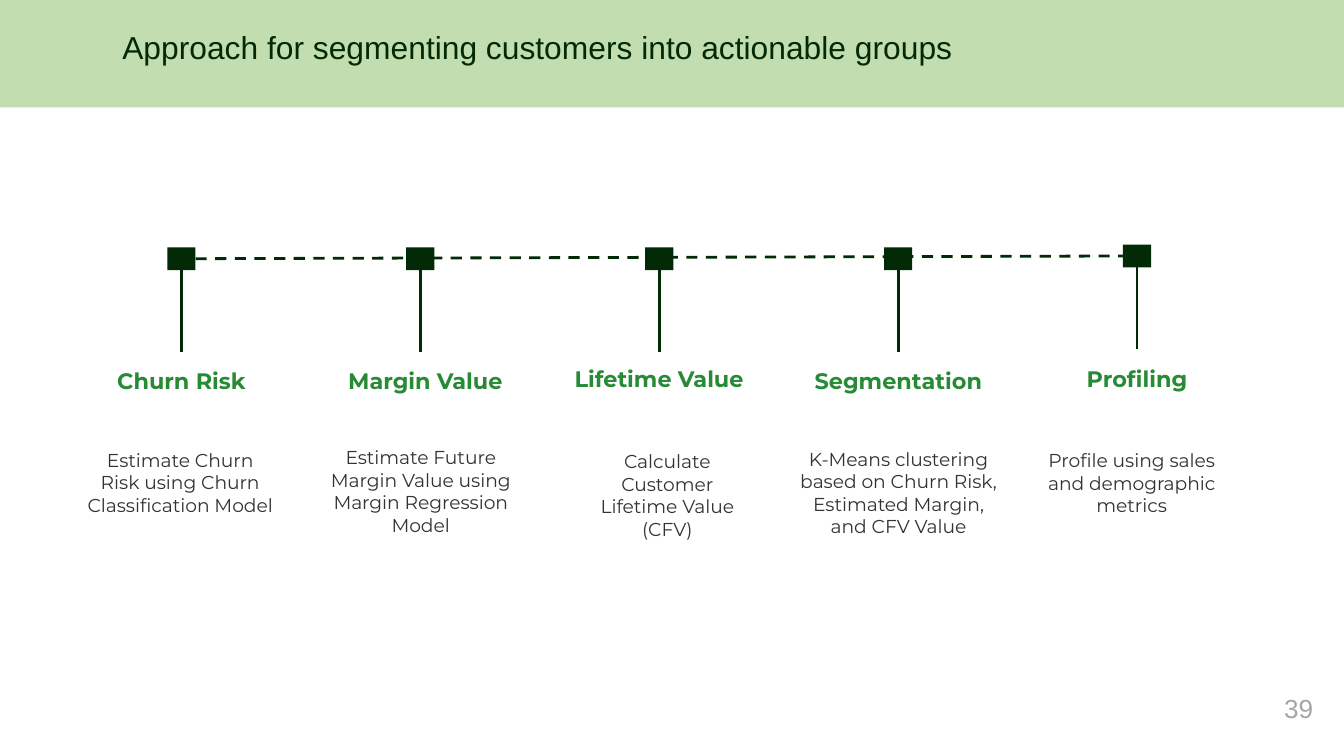
from typing import NamedTuple

from lxml import etree
from pptx import Presentation
from pptx import util as u
from pptx.dml.color import RGBColor
from pptx.enum import dml, shapes, text
from pptx.oxml.ns import qn

# A 16:9 slide, in inches
WIDE = 10
HIGH = WIDE * 9 / 16
DARK, GREEN, BAND, GREY, PALE = "032A06", "278A35", "C2DDAF", "333333", "A6A6A6"

# Timeline grid: column centres, marker size and stem length in inches
FIRST, LAST, COUNT = 1.35, 8.46, 5
PITCH = (LAST - FIRST) / (COUNT - 1)
MARK_W, MARK_H, STEM = 0.21, 0.17, 0.61


class Box(NamedTuple):
    left: float
    top: float
    width: float
    height: float


class Step(NamedTuple):
    name: str
    note: str
    top: float
    head: Box
    body: Box


class Font(NamedTuple):
    face: str
    size: float
    hue: str
    bold: bool = False


STEPS = [
    Step("Churn Risk", "Estimate Churn Risk using Churn Classification Model", 1.84,
         Box(0.54, 2.63, 1.62, 0.96), Box(0.55, 3.24, 1.58, 1.27)),
    Step("Margin Value", "Estimate Future Margin Value using Margin Regression Model", 1.84,
         Box(2.17, 2.63, 1.99, 0.72), Box(2.29, 3.22, 1.68, 1.26)),
    Step("Lifetime Value", "Calculate Customer Lifetime Value\v(CFV)", 1.84,
         Box(3.99, 2.62, 1.83, 0.72), Box(4.26, 3.25, 1.41, 1.34)),
    Step("Segmentation",
         "K-Means clustering based on Churn Risk, Estimated Margin, and CFV Value", 1.84,
         Box(5.77, 2.63, 1.83, 0.72), Box(5.81, 3.23, 1.75, 1.26)),
    Step("Profiling", "Profile using sales and demographic metrics", 1.82,
         Box(7.65, 2.62, 1.62, 0.72), Box(7.61, 3.24, 1.62, 1.05)),
]


def color(code: str) -> RGBColor:
    return RGBColor.from_string(code)


def inches(*sizes: float) -> list:
    return [u.Inches(size) for size in sizes]


def write(shape, words: str, font: Font, align, pad: float = 0.1) -> None:
    frame = shape.text_frame
    frame.text = words
    frame.word_wrap = True
    frame.auto_size = text.MSO_AUTO_SIZE.NONE
    frame.vertical_anchor = text.MSO_ANCHOR.TOP
    frame.margin_left = frame.margin_right = u.Inches(0.1)
    frame.margin_top = frame.margin_bottom = u.Inches(pad)
    for para in frame.paragraphs:
        para.alignment = align
        for run in para.runs:
            run.font.name, run.font.size = font.face, u.Pt(font.size)
            run.font.bold = font.bold
            run.font.color.rgb = color(font.hue)


def label(slide, box: Box, words: str, font: Font,
          align=text.PP_ALIGN.CENTER, pad: float = 0.1) -> None:
    write(slide.shapes.add_textbox(*inches(*box)), words, font, align, pad)


def block(slide, box: Box, hue: str):
    shape = slide.shapes.add_shape(shapes.MSO_SHAPE.RECTANGLE, *inches(*box))
    shape.shadow.inherit = False
    shape.fill.solid()
    shape.fill.fore_color.rgb = color(hue)
    shape.line.fill.background()
    return shape


def link(slide):
    line = slide.shapes.add_connector(shapes.MSO_CONNECTOR.STRAIGHT, 0, 0, 0, 0)
    line.line.color.rgb = color(DARK)
    line.line.width = u.Pt(1.5)
    etree.SubElement(line.element.spPr, qn("a:effectLst"))
    return line


def draw_step(slide, step: Step, col: int):
    mid = FIRST + col * PITCH
    mark = block(slide, Box(mid - MARK_W / 2, step.top, MARK_W, MARK_H), DARK)
    stem = link(slide)
    stem.begin_connect(mark, 2)
    stem.end_x, stem.end_y = inches(mid, step.top + MARK_H + STEM)
    label(slide, step.head, step.name, Font("Montserrat", 12, GREEN, True))
    label(slide, step.body, step.note, Font("Montserrat", 10, GREY))
    return mark


def main() -> None:
    deck = Presentation()
    deck.slide_width, deck.slide_height = inches(WIDE, HIGH)
    slide = deck.slides.add_slide(deck.slide_layouts[5])

    # Header band, placed behind the title
    band = block(slide, Box(0, 0, WIDE, 0.8), BAND)
    slide.shapes.element.insert(2, band.element)
    title = slide.shapes.title
    title.left, title.top, title.width, title.height = inches(0.81, 0.11, 8.51, 0.51)
    write(title, "Approach for segmenting customers into actionable groups",
          Font("Arial", 17, DARK), text.PP_ALIGN.LEFT)

    # Timeline steps, joined by one dashed line
    marks = [draw_step(slide, step, col) for col, step in enumerate(STEPS)]
    dash = link(slide)
    dash.line.dash_style = dml.MSO_LINE.DASH
    dash.begin_connect(marks[0], 3)
    dash.end_connect(marks[-1], 1)

    # Page number
    label(slide, Box(9.27, 5.1, 0.6, 0.43), "39", Font("Arial", 14, PALE),
          text.PP_ALIGN.RIGHT, 0.05)

    deck.save("out.pptx")


if __name__ == "__main__":
    main()
